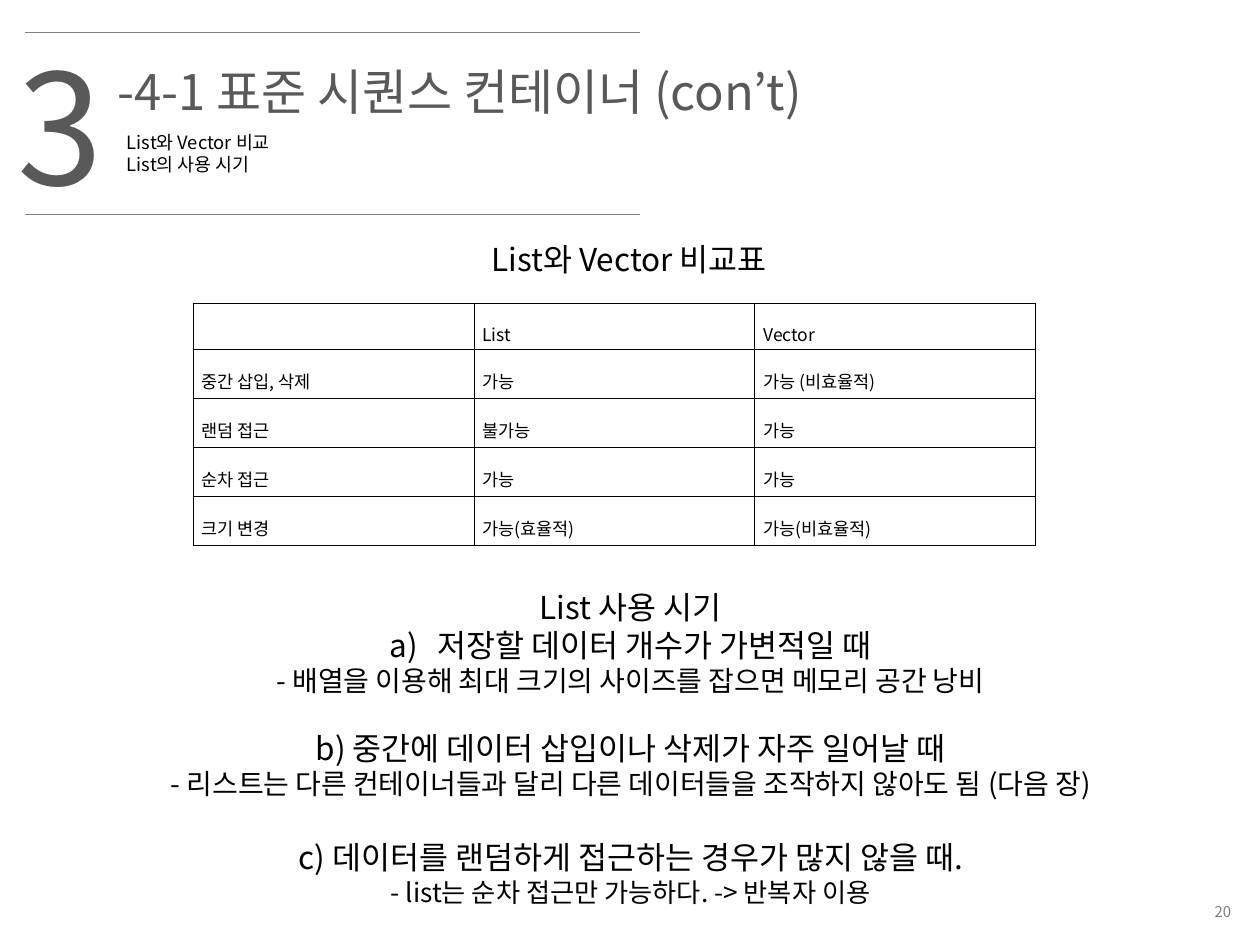
from dataclasses import dataclass

from lxml import etree
from pptx import Presentation
from pptx.dml.color import RGBColor
from pptx.enum.shapes import MSO_CONNECTOR
from pptx.enum.text import MSO_ANCHOR, MSO_AUTO_SIZE, PP_ALIGN
from pptx.oxml.ns import qn
from pptx.util import Inches, Pt

LEFT, MID, RIGHT, FULL = PP_ALIGN.LEFT, PP_ALIGN.CENTER, PP_ALIGN.RIGHT, PP_ALIGN.JUSTIFY
TOP, CENTER = MSO_ANCHOR.TOP, MSO_ANCHOR.MIDDLE
FIXED = MSO_AUTO_SIZE.NONE
STRAIGHT = MSO_CONNECTOR.STRAIGHT

WIDTH, HEIGHT = Inches(10), Inches(7.5)
COL, ROW = WIDTH / 100, HEIGHT / 75


@dataclass(frozen=True)
class Theme:
    font: str = "Noto Sans CJK KR"
    ink: str = "000000"
    dark: str = "595959"
    gray: str = "808080"
    number: float = 88
    title: float = 28
    head: float = 18
    note: float = 16
    last: float = 15
    sub: float = 10.5
    cell: float = 10
    page: float = 8.5
    rule: float = 0.75
    border: float = 0.28


THEME = Theme()

CELLS = [
    ["", "List", "Vector"],
    ["중간 삽입, 삭제", "가능", "가능 (비효율적)"],
    ["랜덤 접근", "불가능", "가능"],
    ["순차 접근", "가능", "가능"],
    ["크기 변경", "가능(효율적)", "가능(비효율적)"],
]

# Text, size and space before, in points
USES = [
    ("List 사용 시기", THEME.head, 0),
    ("저장할 데이터 개수가 가변적일 때", THEME.head, 0),
    ("- 배열을 이용해 최대 크기의 사이즈를 잡으면 메모리 공간 낭비", THEME.note, 0),
    ("b) 중간에 데이터 삽입이나 삭제가 자주 일어날 때", THEME.head, 18),
    ("- 리스트는 다른 컨테이너들과 달리 다른 데이터들을 조작하지 않아도 됨 (다음 장)",
     THEME.note, 0),
    ("c) 데이터를 랜덤하게 접근하는 경우가 많지 않을 때.", THEME.head, 21.6),
    ("- list는 순차 접근만 가능하다. -> 반복자 이용", THEME.last, 0),
]


def grid(x, y, w, h):
    return int(x * COL), int(y * ROW), int(w * COL), int(h * ROW)


def style(para, size, color, align):
    para.alignment = align
    for run in para.runs:
        run.font.size = Pt(size)
        run.font.color.rgb = RGBColor.from_string(color)
        run.font.name = THEME.font
        east = etree.SubElement(run.font._element, qn("a:ea"))
        east.set("typeface", THEME.font)


def fill_text(shape, text, size, color=THEME.ink, align=LEFT, anchor=TOP):
    frame = shape.text_frame
    frame.word_wrap = True
    frame.auto_size = FIXED
    frame.vertical_anchor = anchor
    frame.text = text
    for para in frame.paragraphs:
        style(para, size, color, align)
    return frame


def add_text(slide, box, *args, **more):
    return fill_text(slide.shapes.add_textbox(*grid(*box)), *args, **more)


def set_title(slide, box, text):
    title = slide.shapes.title
    title.left, title.top, title.width, title.height = grid(*box)
    fill_text(title, text, THEME.title, THEME.dark)


def add_rule(slide, x, y, w):
    left, top, wide, _ = grid(x, y, w, 0)
    line = slide.shapes.add_connector(STRAIGHT, left, top, left + wide, top)
    line.line.color.rgb = RGBColor.from_string(THEME.gray)
    line.line.width = Pt(THEME.rule)
    etree.SubElement(line._element.spPr, qn("a:effectLst"))


def add_border(cell):
    props = cell._tc.get_or_add_tcPr()
    for spot, side in enumerate(("lnL", "lnR", "lnT", "lnB")):
        line = etree.Element(qn(f"a:{side}"), w=str(Pt(THEME.border)))
        fill = etree.SubElement(line, qn("a:solidFill"))
        etree.SubElement(fill, qn("a:srgbClr"), val=THEME.ink)
        props.insert(spot, line)


def fill_cell(cell, text):
    cell.text = text
    cell.fill.background()
    cell.vertical_anchor = CENTER
    cell.margin_left = cell.margin_right = Inches(0.07)
    cell.margin_top = cell.margin_bottom = Inches(0.02)
    para = cell.text_frame.paragraphs[0]
    para.line_spacing = 1.6
    style(para, THEME.cell, THEME.ink, FULL)
    if not text:
        etree.SubElement(para._p, qn("a:endParaRPr"), sz=str(THEME.cell * 100))
    add_border(cell)


def add_table(slide, box, rows, head, body):
    table = slide.shapes.add_table(len(rows), len(rows[0]), *grid(*box)).table
    table.first_row = table.horz_banding = False
    for i, row in enumerate(rows):
        table.rows[i].height = int((body if i else head) * ROW)
        for j, text in enumerate(row):
            fill_cell(table.cell(i, j), text)


def add_letter(para):
    """Number the paragraph with a), on a hanging indent."""
    props = para._p.get_or_add_pPr()
    props.set("marL", str(Inches(0.38)))
    props.set("indent", str(-Inches(0.38)))
    etree.SubElement(props, qn("a:buFont"), typeface=THEME.font)
    etree.SubElement(props, qn("a:buAutoNum"), type="alphaLcParenR")


def add_uses(slide, box):
    text = "\n".join(use[0] for use in USES)
    frame = add_text(slide, box, text, THEME.head, align=MID)
    for para, (_, size, gap) in zip(frame.paragraphs, USES):
        para.space_before = Pt(gap)
        for run in para.runs:
            run.font.size = Pt(size)
    add_letter(frame.paragraphs[1])


def main():
    deck = Presentation()
    deck.slide_width, deck.slide_height = WIDTH, HEIGHT
    slide = deck.slides.add_slide(deck.slide_layouts[5])

    set_title(slide, (8.3, 4.4, 83.5, 5.7), "-4-1 표준 시퀀스 컨테이너 (con’t)")
    add_text(slide, (9.1, 9.9, 45.7, 4.5),
             "List와 Vector 비교\nList의 사용 시기", THEME.sub)
    add_text(slide, (0.4, 2, 11.8, 15.8), "3", THEME.number, THEME.dark)
    for y in (2.6, 17):
        add_rule(slide, 2, y, 48.8)

    add_text(slide, (28.3, 18.6, 43.3, 4), "List와 Vector 비교표", THEME.head, align=MID)
    add_table(slide, (15.3, 24.1, 66.9, 18.7), CELLS, head=3, body=3.9)
    add_uses(slide, (8.3, 46.2, 83.5, 26.6))
    add_text(slide, (77.6, 71, 21.1, 2.7), "20", THEME.page, THEME.gray, RIGHT, CENTER)
    deck.save("out.pptx")


if __name__ == "__main__":
    main()
